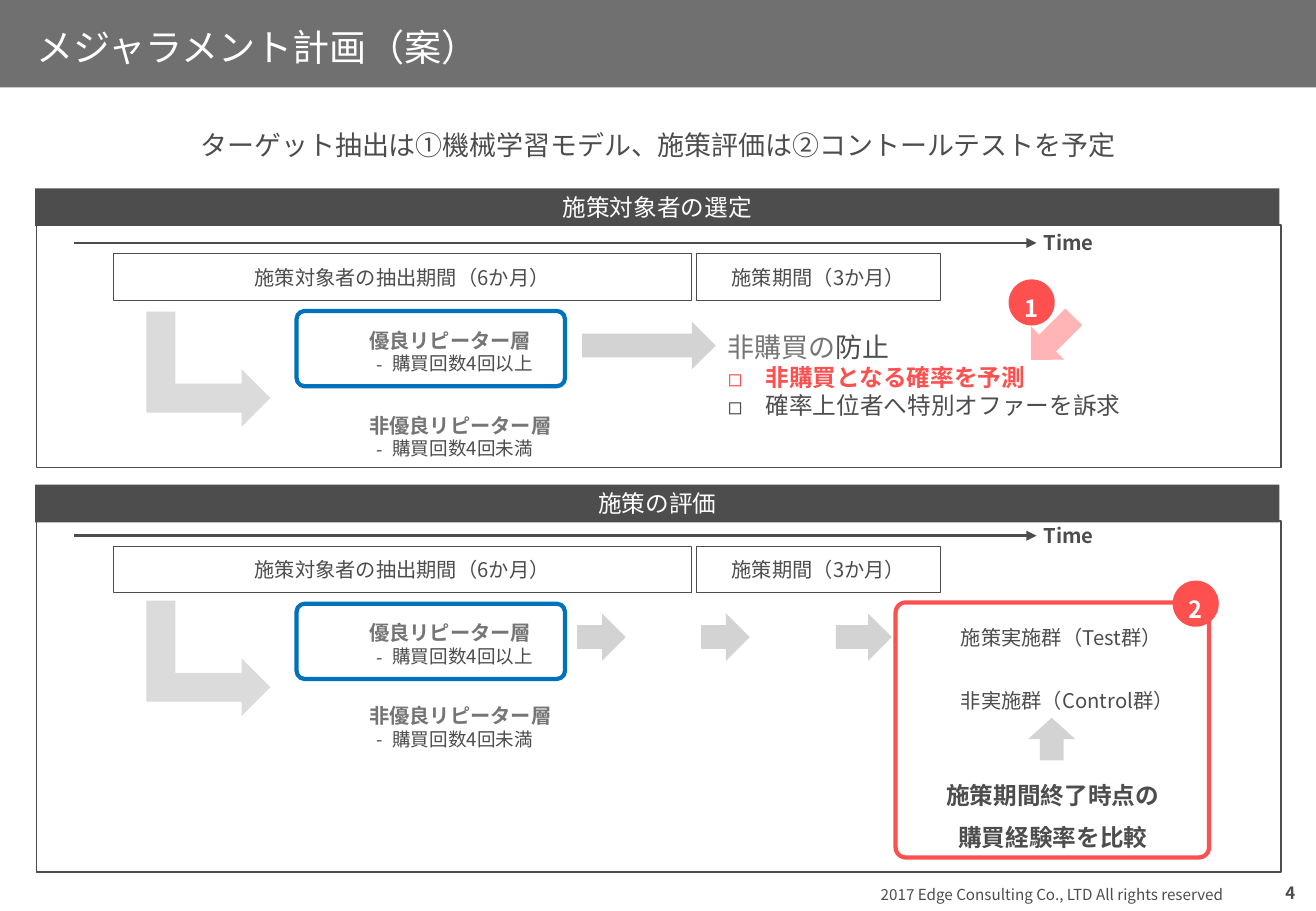
import pptx
import pptx.util
import pptx.dml.color
import pptx.enum.dml
import pptx.enum.shapes
import pptx.enum.text
import pptx.oxml
import pptx.oxml.ns

RGBColor = pptx.dml.color.RGBColor
INK = RGBColor(0x4D, 0x4D, 0x4D)
GRAY = RGBColor(0x75, 0x75, 0x75)
ARROW_GRAY = RGBColor(0xD3, 0xD3, 0xD3)
BENT_GRAY = RGBColor(0xDB, 0xDB, 0xDB)
WHITE = RGBColor(0xFF, 0xFF, 0xFF)
BLUE = RGBColor(0x00, 0x71, 0xBC)
RED = RGBColor(0xFF, 0x50, 0x50)
PINK = RGBColor(0xFF, 0xB5, 0xB5)

FONT = "Noto Sans CJK JP"
EMU_PER_PX = 9144
SHAPE = pptx.enum.shapes.MSO_SHAPE
ALIGN = pptx.enum.text.PP_ALIGN
ANCHOR = pptx.enum.text.MSO_ANCHOR


def px(length):
    return pptx.util.Emu(length * EMU_PER_PX)


def add_xml(parent, tag, **attributes):
    element = pptx.oxml.parse_xml(f"<a:{tag} {pptx.oxml.ns.nsdecls('a')}/>")
    for name, value in attributes.items():
        element.set(name, str(value))
    parent.append(element)


def write(frame, text, size=12, color=INK, bold=False, align=ALIGN.LEFT,
          spacing=None, after=0, bullet=None, indent=0, hanging=0, same_line=False):
    para = frame.paragraphs[-1]
    if not same_line:
        if para.runs:
            para = frame.add_paragraph()
        properties = para._p.get_or_add_pPr()
        properties.set("marL", str(px(indent)))
        properties.set("indent", str(px(-hanging)))
        if bullet:
            add_xml(properties, "buFont", typeface=FONT)
            add_xml(properties, "buChar", char=bullet)
        else:
            add_xml(properties, "buNone")
        para.alignment = align
        para.space_before = pptx.util.Pt(0)
        para.space_after = pptx.util.Pt(after)
        if spacing:
            para.line_spacing = spacing
    span = para.add_run()
    span.text = text
    span.font.size = pptx.util.Pt(size)
    span.font.bold = bold
    span.font.color.rgb = color
    span.font.name = FONT
    add_xml(span._r.get_or_add_rPr(), "ea", typeface=FONT)


class SlideBuilder:
    def __init__(self, slide):
        self.slide = slide
        self.shapes = slide.shapes

    def frame(self, box, inset=True, anchor=ANCHOR.TOP):
        frame = box.text_frame
        frame.word_wrap = True
        frame.auto_size = pptx.enum.text.MSO_AUTO_SIZE.NONE
        frame.vertical_anchor = anchor
        frame.margin_left = frame.margin_right = px(10 if inset else 0)
        frame.margin_top = frame.margin_bottom = px(5 if inset else 0)
        return frame

    def text(self, left, top, width, height, inset=True, anchor=ANCHOR.TOP):
        box = self.shapes.add_textbox(px(left), px(top), px(width), px(height))
        return self.frame(box, inset, anchor)

    def placeholder(self, box, left, top, width, height, inset=True, anchor=ANCHOR.TOP):
        box.left, box.top, box.width, box.height = map(px, (left, top, width, height))
        return self.frame(box, inset, anchor)

    def shape(self, kind, left, top, width, height, fill=None, line=None,
              weight=1, corner=None, rotation=0):
        shape = self.shapes.add_shape(kind, px(left), px(top), px(width), px(height))
        shape.shadow.inherit = False
        shape.rotation = rotation
        if corner is not None:
            shape.adjustments[0] = corner
        if fill is None:
            shape.fill.background()
        else:
            shape.fill.solid()
            shape.fill.fore_color.rgb = fill
        if line is None:
            shape.line.fill.background()
        else:
            shape.line.color.rgb = line
            shape.line.width = pptx.util.Pt(weight)
        return shape

    def label(self, shape, text, **style):
        frame = self.frame(shape, inset=False, anchor=ANCHOR.MIDDLE)
        write(frame, text, align=ALIGN.CENTER, **style)

    def arrow(self, left, top, width, height=39, fill=ARROW_GRAY, rotation=0):
        self.shape(SHAPE.RIGHT_ARROW, left, top, width, height, fill, rotation=rotation)

    def timeline(self, top):
        line = self.shapes.add_connector(
            pptx.enum.shapes.MSO_CONNECTOR.STRAIGHT, px(61), px(top), px(853), px(top))
        line.line.color.rgb = INK
        line.line.width = pptx.util.Pt(1.5)
        add_xml(line.line._get_or_add_ln(), "tailEnd", type="triangle")
        add_xml(line._element.spPr, "effectLst")
        write(self.text(849, top - 15, 67, 30), "Time", bold=True)

    def segment(self, left, top, name, detail):
        frame = self.text(left, top, 201, 50)
        write(frame, name, color=GRAY, bold=True)
        write(frame, detail, size=11, bullet="-", indent=19, hanging=13)

    def panel(self, heading, top, height, time_top, bent_top, other_top):
        band = self.shape(SHAPE.RECTANGLE, 29, top, 1024, 31, INK)
        self.label(band, heading, size=14, color=WHITE)
        self.shape(SHAPE.RECTANGLE, 30, top + 30, 1024, height, line=INK)
        self.timeline(time_top)
        periods = ((93, 476, "施策対象者の抽出期間（6か月）"), (573, 201, "施策期間（3か月）"))
        for left, width, name in periods:
            period = self.shape(SHAPE.RECTANGLE, left, time_top + 9, width, 38, WHITE, INK, 0.5)
            self.label(period, name, after=6)
        self.shape(SHAPE.BENT_UP_ARROW, 124, bent_top, 95, 102, BENT_GRAY, rotation=90)
        self.shape(SHAPE.ROUNDED_RECTANGLE, 244, time_top + 56, 221, 62,
                   line=BLUE, weight=2.5, corner=0.11)
        self.segment(294, time_top + 65, "優良リピーター層", "購買回数4回以上")
        self.segment(294, other_top, "非優良リピーター層", "購買回数4回未満")

    def badge(self, left, top, number):
        badge = self.shape(SHAPE.OVAL, left, top, 38, 38, RED)
        self.label(badge, number, size=14, color=WHITE, bold=True, spacing=1.4, after=6)


def main():
    deck = pptx.Presentation()
    deck.slide_width, deck.slide_height = px(1083), px(750)
    page = SlideBuilder(deck.slides.add_slide(deck.slide_layouts[1]))

    header = page.shape(SHAPE.RECTANGLE, 0, 0, 1083, 72, INK)
    color = header._element.spPr.find(".//" + pptx.oxml.ns.qn("a:srgbClr"))
    add_xml(color, "alpha", val=80000)
    page.shapes._spTree.insert(2, header._element)

    title = page.placeholder(page.shapes.title, 30, 17, 1024, 43, False, ANCHOR.MIDDLE)
    write(title, "メジャラメント計画（案）", size=22, color=WHITE)
    write(page.text(30, 88, 1024, 47),
          "ターゲット抽出は①機械学習モデル、施策評価は②コントールテストを予定",
          size=16, align=ALIGN.CENTER, spacing=1.5)

    page.panel("施策対象者の選定", 155, 200, time_top=200, bent_top=253, other_top=335)
    page.arrow(479, 265, 110)
    offer = page.placeholder(page.slide.placeholders[1], 589, 267, 413, 84)
    write(offer, "非購買の", size=16, color=GRAY)
    write(offer, "防止", size=16, same_line=True)
    bullets = dict(size=14, bullet="◻", indent=31, hanging=31)
    write(offer, "非購買となる確率を予測", color=RED, bold=True, **bullets)
    write(offer, "確率上位者へ特別オファーを訴求", **bullets)
    page.arrow(841, 259, 50, fill=PINK, rotation=134.9)
    page.badge(830, 230, "1")

    page.panel("施策の評価", 399, 289, time_top=441, bent_top=491, other_top=574)
    for left, width in ((475, 40), (577, 40), (688, 46)):
        page.arrow(left, 505, width)
    for top, group in ((510, "施策実施群（Test群）"), (562, "非実施群（Control群）")):
        write(page.text(781, top, 201, 30), group)
    page.arrow(848, 589, 35, rotation=270)
    comparison = page.text(766, 626, 201, 81)
    for text in ("施策期間終了時点の", "購買経験率を比較"):
        write(comparison, text, size=14, bold=True, align=ALIGN.CENTER, spacing=1.5)
    page.shape(SHAPE.ROUNDED_RECTANGLE, 737, 496, 258, 210, line=RED, weight=2.5, corner=0.04)
    page.badge(965, 478, "2")

    write(page.text(715, 724, 334, 25),
          "2017 Edge Consulting Co., LTD All rights reserved", size=9)
    write(page.text(813, 721, 253, 28, False, ANCHOR.MIDDLE), "4",
          size=10, bold=True, align=ALIGN.RIGHT)
    deck.save("out.pptx")


if __name__ == "__main__":
    main()
